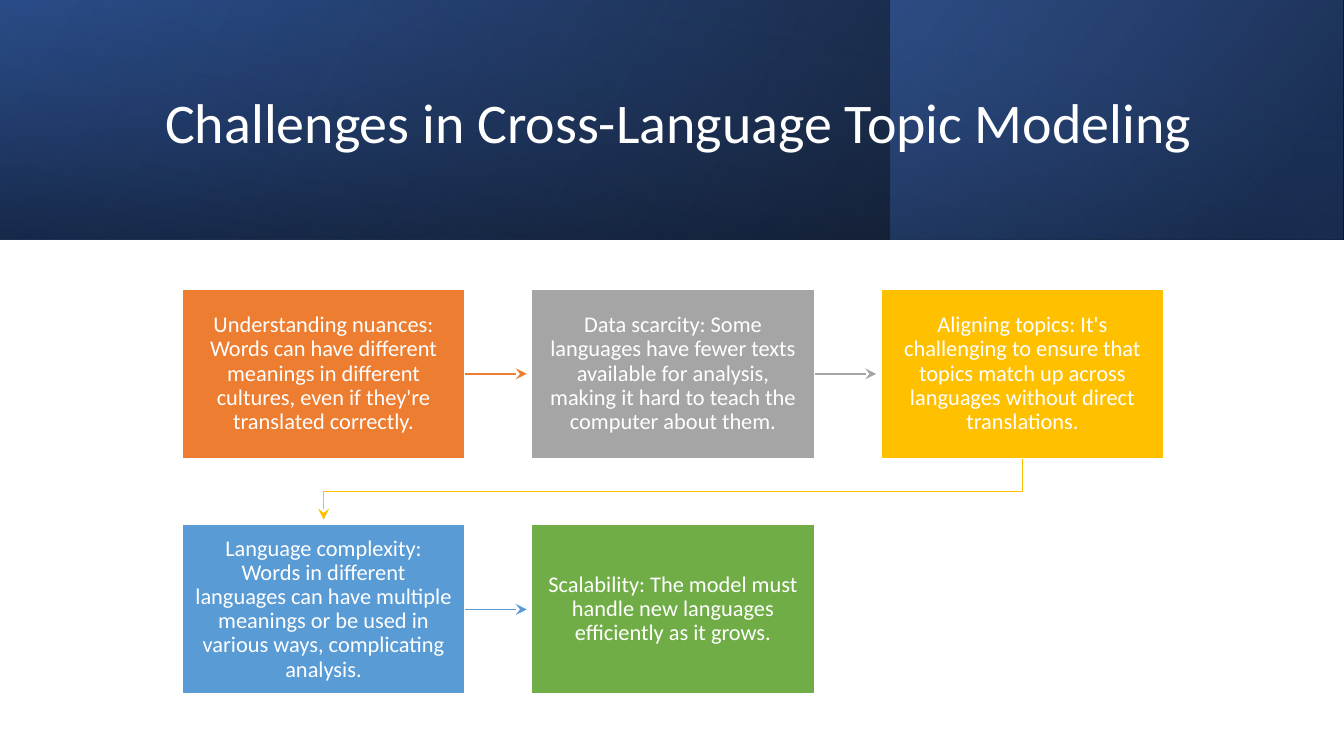
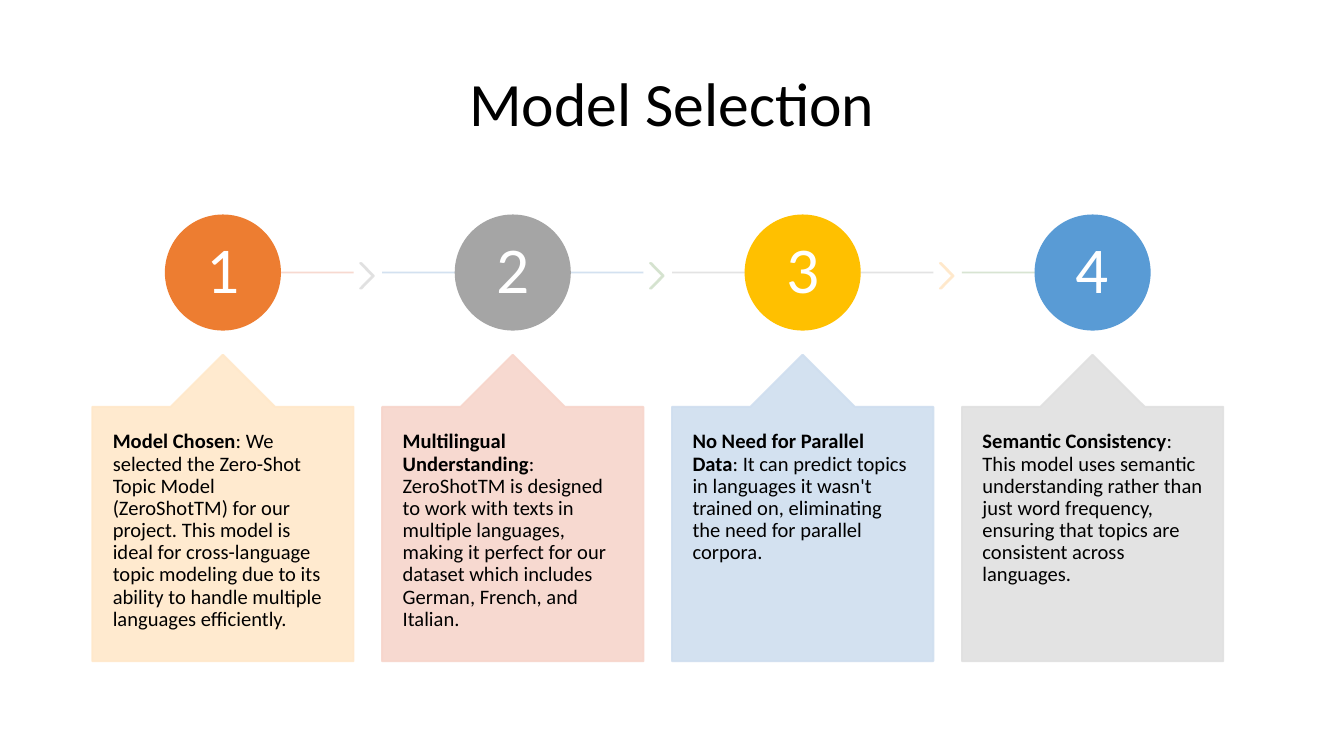
from itertools import pairwise

from lxml.etree import SubElement
from pptx import Presentation
from pptx.dml.color import RGBColor as RGB
from pptx.enum.shapes import MSO_CONNECTOR as LINK, MSO_SHAPE as KIND
from pptx.enum.text import MSO_ANCHOR as ANCHOR, PP_ALIGN as ALIGN
from pptx.oxml.ns import qn
from pptx.util import Pt

FONT = "Calibri"
WHITE = RGB(0xFF, 0xFF, 0xFF)
BLACK = RGB(0x00, 0x00, 0x00)
NAVY = RGB(0x1F, 0x38, 0x64)
BLUE = RGB(0x2F, 0x54, 0x96)
SKY = RGB(0x44, 0x72, 0xC4)
ACCENTS = [
    RGB(0xED, 0x7D, 0x31),
    RGB(0xA5, 0xA5, 0xA5),
    RGB(0xFF, 0xC0, 0x00),
    RGB(0x59, 0x9B, 0xD5),
    RGB(0x70, 0xAD, 0x47),
]
TINTS = [
    RGB(0xF7, 0xD5, 0xCB),
    RGB(0xE0, 0xE0, 0xE0),
    RGB(0xFF, 0xE8, 0xCA),
    RGB(0xCF, 0xDE, 0xEF),
    RGB(0xD4, 0xE2, 0xCE),
]

ISSUES = [
    "Understanding nuances: Words can have different meanings in different "
    "cultures, even if they're translated correctly.",
    "Data scarcity: Some languages have fewer texts available for analysis, "
    "making it hard to teach the computer about them.",
    "Aligning topics: It's challenging to ensure that topics match up across "
    "languages without direct translations.",
    "Language complexity: Words in different languages can have multiple "
    "meanings or be used in various ways, complicating analysis.",
    "Scalability: The model must handle new languages efficiently as it grows.",
]
REASONS = [
    ("Model Chosen",
     ": We selected the Zero-Shot Topic Model (ZeroShotTM) for our project. "
     "This model is ideal for cross-language topic modeling due to its ability "
     "to handle multiple languages efficiently."),
    ("Multilingual Understanding",
     ": ZeroShotTM is designed to work with texts in multiple languages, making "
     "it perfect for our dataset which includes German, French, and Italian."),
    ("No Need for Parallel Data",
     ": It can predict topics in languages it wasn't trained on, eliminating "
     "the need for parallel corpora."),
    ("Semantic Consistency",
     ": This model uses semantic understanding rather than just word frequency, "
     "ensuring that topics are consistent across languages."),
]


def fade(shape, alpha=90):
    """Make every colour of the shape's fill and line partly transparent."""
    for color in shape._element.spPr.iter(qn("a:srgbClr")):
        SubElement(color, qn("a:alpha"), val=str(alpha * 1000))


class Deck:
    """Holds the style and the slide being filled."""

    def __init__(self):
        self.prs = Presentation()
        self.prs.slide_width, self.prs.slide_height = Pt(720), Pt(405)

    def start(self):
        self.slide = self.prs.slides.add_slide(self.prs.slide_layouts[6])
        self.shapes = self.slide.shapes

    def label(self, shape, parts, size, color, align=ALIGN.CENTER,
              anchor=ANCHOR.MIDDLE, pad=(7.2, 3.6)):
        """Put the parts in one paragraph; of several, the first is bold."""
        frame = shape.text_frame
        frame.word_wrap = True
        frame.vertical_anchor = anchor
        frame.margin_left = frame.margin_right = Pt(pad[0])
        frame.margin_top = frame.margin_bottom = Pt(pad[1])
        para = frame.paragraphs[0]
        para.alignment = align
        para.line_spacing = 0.9
        for i, part in enumerate(parts):
            run = para.add_run()
            run.text = part
            run.font.name = FONT
            run.font.size = Pt(size)
            run.font.color.rgb = color
            run.font.bold = len(parts) > 1 and i == 0

    def title(self, text, area, size, color, align):
        box = self.shapes.add_textbox(*map(Pt, area))
        self.label(box, [text], size, color, align)

    def shape(self, kind, area, fill, line=None, adjust=()):
        shape = self.shapes.add_shape(kind, *map(Pt, area))
        shape.shadow.inherit = False
        shape.fill.solid()
        shape.fill.fore_color.rgb = fill
        shape.line.color.rgb = line or fill
        shape.line.width = Pt(1)
        for i, value in enumerate(adjust):
            shape.adjustments[i] = value
        return shape

    def band(self, area, stops, angle, turn=0):
        """Mirrored gradient panel; stops are (percent, colour, alpha)."""
        band = self.shapes.add_shape(KIND.RECTANGLE, *map(Pt, area))
        band.shadow.inherit = False
        band.line.fill.background()
        band.rotation = turn
        band.fill.gradient()
        band.fill.gradient_angle = angle
        props = band._element.spPr
        props.find(qn("a:xfrm")).set("flipH", "1")
        group = props.find(qn("a:gradFill")).find(qn("a:gsLst"))
        for old in list(group):
            group.remove(old)
        for place, color, alpha in stops:
            stop = SubElement(group, qn("a:gs"), pos=str(place * 1000))
            tone = SubElement(stop, qn("a:srgbClr"), val=str(color))
            SubElement(tone, qn("a:alpha"), val=str(alpha * 1000))

    def line(self, x1, y1, x2, y2, color, width):
        line = self.shapes.add_connector(LINK.STRAIGHT, *map(Pt, (x1, y1, x2, y2)))
        line.line.color.rgb = color
        line.line.width = Pt(width)
        SubElement(line._element.spPr, qn("a:effectLst"))
        return line

    def arrow(self, points, color):
        """Straight arrow for two points, bent one for more."""
        if len(points) == 2:
            arrow = self.line(*points[0], *points[1], color, 0.75)
        else:
            first, *rest = [(Pt(x), Pt(y)) for x, y in points]
            pen = self.shapes.build_freeform(*first)
            pen.add_line_segments(rest, close=False)
            arrow = pen.convert_to_shape()
            arrow.shadow.inherit = False
            arrow.fill.background()
            arrow.line.color.rgb = color
            arrow.line.width = Pt(0.75)
        edge = arrow._element.spPr.find(qn("a:ln"))
        SubElement(edge, qn("a:tailEnd"), type="stealth")


def show_issues(deck):
    deck.start()
    high = 128.4
    deck.band((0, 0, 720, high), [(0, BLACK, 96), (100, BLUE, 100)], 30)
    deck.band((477, 0, 242.4, high),
              [(0, NAVY, 68), (19, NAVY, 68), (100, SKY, 48)], 40)
    deck.band((360 - high / 2, high / 2 - 360, high, 720),
              [(0, BLUE, 16), (23, BLUE, 16), (99, BLACK, 45), (100, BLACK, 45)],
              10, turn=270)
    deck.title("Challenges in Cross-Language Topic Modeling",
               (81.4, 20.9, 573.8, 92.9), 30, WHITE, ALIGN.LEFT)

    wide, tall, cols = 151.6, 91, 3
    spots = [(97.6 + i % cols * 187.2, 154.8 + i // cols * 126.2)
             for i in range(len(ISSUES))]
    for (x, y), text, color in zip(spots, ISSUES, ACCENTS):
        box = deck.shape(KIND.RECTANGLE, (x, y, wide, tall), color, WHITE)
        deck.label(box, [text], 12, WHITE, pad=(7.2, 7.8))
    for ((x, y), (nx, ny)), color in zip(pairwise(spots), ACCENTS):
        if y == ny:
            mid = y + tall / 2
            route = [(x + wide, mid), (nx - 2.6, mid)]
        else:
            mid = (y + tall + ny) / 2
            start, end = x + wide / 2, nx + wide / 2
            route = [(start, y + tall), (start, mid), (end, mid), (end, ny - 2.6)]
        deck.arrow(route, color)


def show_model(deck):
    deck.start()
    deck.title("Model Selection", (49.5, 27.4, 621, 59), 33, BLACK, ALIGN.CENTER)
    wide, disc, mid = 140, 61.2, 146
    last = len(REASONS) - 1
    for i, parts in enumerate(REASONS):
        x = 49.4 + i * 155.3
        rail, tip, note = (TINTS[(3 * i + k) % len(TINTS)] for k in range(3))
        start = x + 78 if i == 0 else x
        end = x + wide / 2 if i == last else x + wide
        fade(deck.line(start, mid, end, mid, rail, 1))
        if i < last:
            fade(deck.shape(KIND.CHEVRON, (x + 143.5, 141, 7.4, 13.6), tip,
                            adjust=[0.9]))
        dot = deck.shape(KIND.OVAL, (x + (wide - disc) / 2, mid - disc / 2, disc, disc),
                         ACCENTS[i])
        deck.label(dot, [str(i + 1)], 35, WHITE, pad=(2.2, 2.2))
        card = deck.shape(KIND.UP_ARROW_CALLOUT, (x, 190, wide, 164.2), note,
                          adjust=[0.5, 0.2, 0.2, 1])
        fade(card)
        deck.label(card, parts, 11, BLACK, ALIGN.LEFT, ANCHOR.TOP, (11, 13))


def main():
    deck = Deck()
    show_issues(deck)
    show_model(deck)
    deck.prs.save("out.pptx")


if __name__ == "__main__":
    main()
